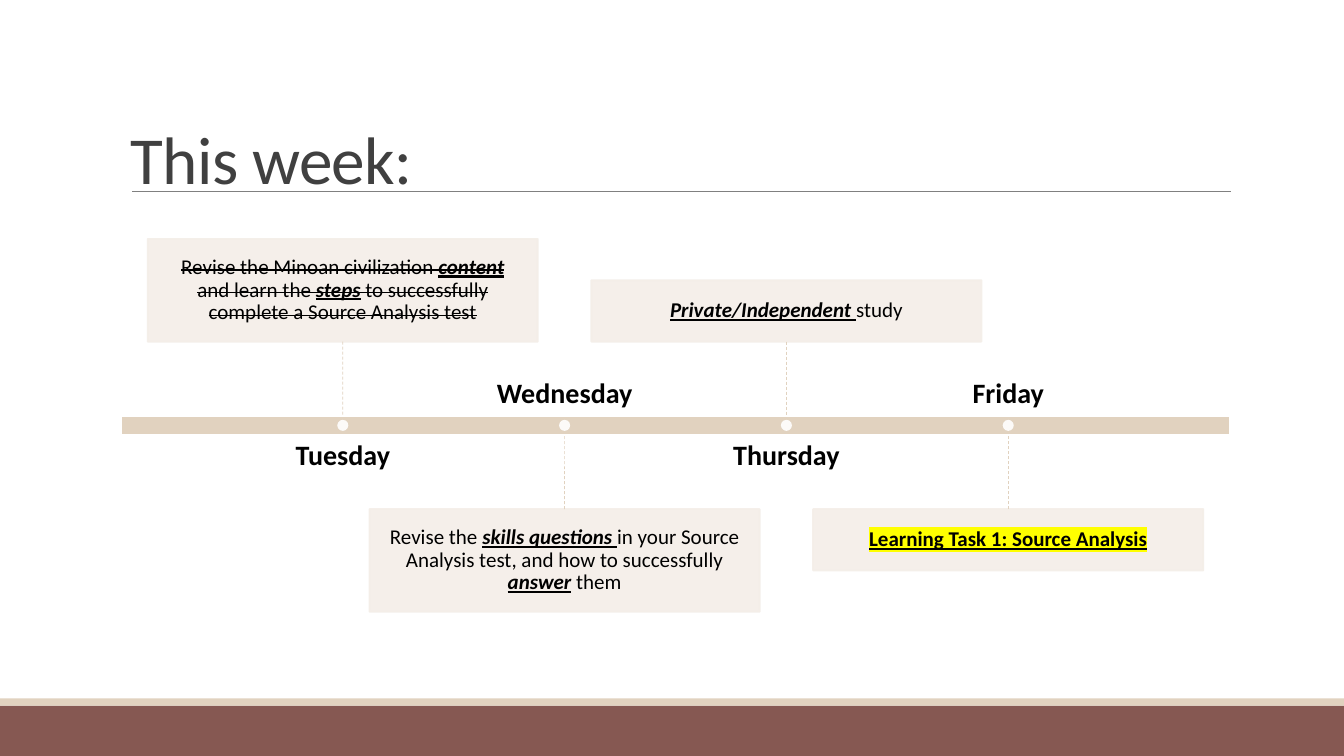
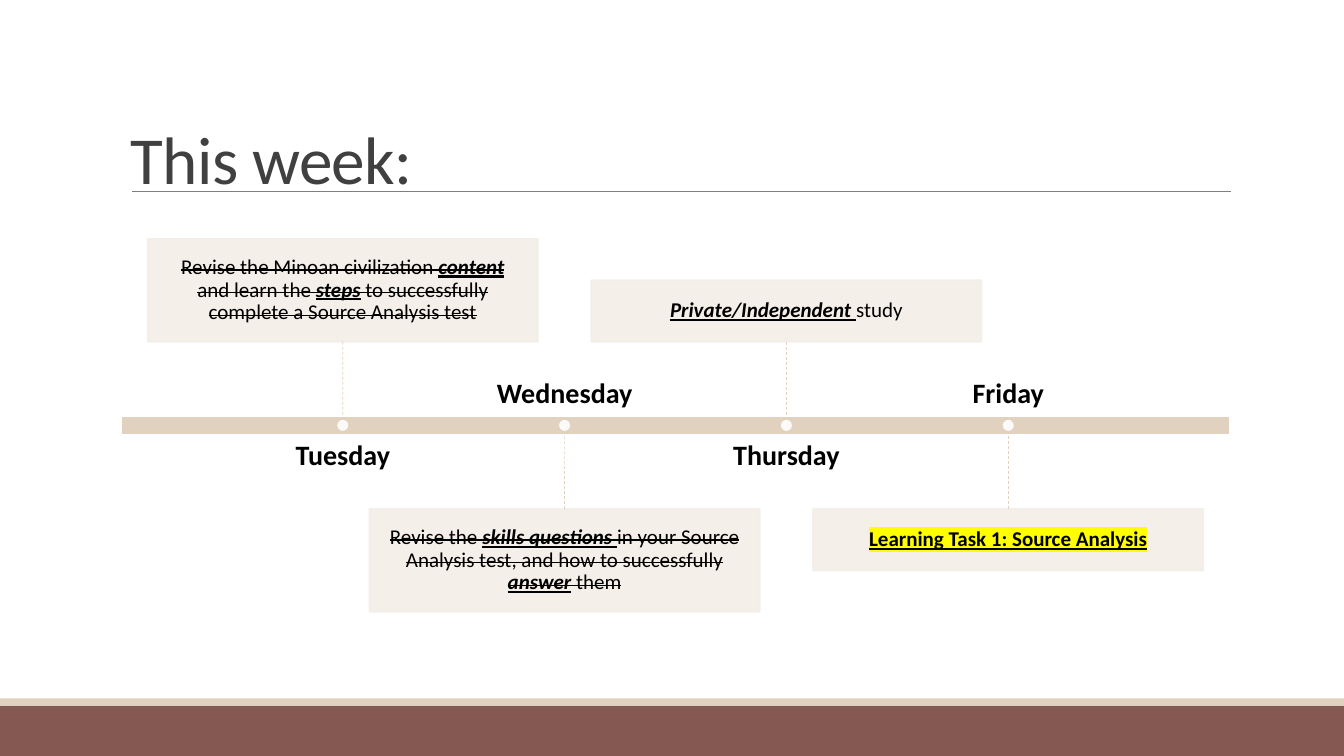
from lxml.etree import SubElement
from pptx import Presentation
from pptx.dml.color import RGBColor
from pptx.enum.dml import MSO_LINE
from pptx.enum.shapes import MSO_CONNECTOR, MSO_SHAPE
from pptx.enum.text import MSO_ANCHOR, PP_ALIGN
from pptx.oxml.ns import qn
from pptx.util import Inches, Pt

FONT = "Calibri"
MAROON, SAND, CREAM = "865852", "E1D2BF", "F4EEE8"
WHITE, BLACK, GREY, CHARCOAL = "FFFFFF", "000000", "808080", "404040"
YELLOW = "FFFF00"

BAR_LEFT, BAR_TOP, BAR_WIDTH, BAR_HEIGHT = 1.2, 4.13, 11, 0.18
BAR_BOTTOM = BAR_TOP + BAR_HEIGHT
FIRST_DAY, DAY_STEP = 3.4, 2.2
CARD_WIDTH, CARD_GAP = 3.87, 0.74
LABEL_WIDTH, LABEL_HEIGHT, LABEL_GAP = 3.52, 0.5, 0.07
DOT = 0.11
TALL, SHORT = 1.02, 0.61

DAYS = [
    ("Tuesday", TALL, [
        ("Revise the Minoan civilization ", ""),
        ("content", "biu"),
        (" and learn the ", ""),
        ("steps", "biu"),
        (" to successfully complete a Source Analysis test", ""),
    ]),
    ("Wednesday", TALL, [
        ("Revise the ", ""),
        ("skills questions ", "biu"),
        ("in your Source Analysis test, and how to successfully ", ""),
        ("answer", "biu"),
        (" them", ""),
    ]),
    ("Thursday", SHORT, [("Private/Independent ", "biu"), ("study", "")]),
    ("Friday", SHORT, [("Learning Task 1: Source Analysis", "buh")]),
]


def color(code):
    return RGBColor.from_string(code)


def set_alpha(element, percent):
    for tint in element.iter(qn("a:srgbClr")):
        SubElement(tint, qn("a:alpha"), val=str(percent * 1000))


class Deck:
    def __init__(self):
        self.deck = Presentation()
        self.deck.slide_width = Inches(13.33)
        self.deck.slide_height = Inches(7.5)
        self.page = None

    def add_page(self, title):
        self.page = self.deck.slides.add_slide(self.deck.slide_layouts[6])
        self.shape(0, 7, 13.33, 0.5, MAROON)
        self.shape(0, 6.93, 13.33, 0.07, SAND)
        self.line(1.31, 1.9, 12.21, 1.9, GREY)
        box = self.text_box(1.2, 0.43, 11, 1.59, MSO_ANCHOR.BOTTOM)
        para = self.add_text(box, [(title, "")], 48, CHARCOAL, PP_ALIGN.LEFT, 0.85)
        para.runs[0]._r.get_or_add_rPr().set("spc", "-50")

    def shape(self, left, top, width, height, fill, border=None,
              kind=MSO_SHAPE.RECTANGLE, alpha=100):
        shape = self.page.shapes.add_shape(
            kind, Inches(left), Inches(top), Inches(width), Inches(height))
        shape.shadow.inherit = False
        shape.fill.solid()
        shape.fill.fore_color.rgb = color(fill)
        if border:
            shape.line.color.rgb = color(border)
            shape.line.width = Pt(1.25)
        else:
            shape.line.fill.background()
        if alpha < 100:
            set_alpha(shape._element.spPr, alpha)
        return shape

    def line(self, x1, y1, x2, y2, tint, dash=None):
        line = self.page.shapes.add_connector(
            MSO_CONNECTOR.STRAIGHT, Inches(x1), Inches(y1), Inches(x2), Inches(y2))
        line.line.color.rgb = color(tint)
        line.line.width = Pt(0.5)
        if dash:
            line.line.dash_style = dash
        SubElement(line._element.spPr, qn("a:effectLst"))
        return line

    def set_frame(self, shape, anchor, inset=None):
        frame = shape.text_frame
        frame.word_wrap = True
        frame.vertical_anchor = anchor
        if inset is not None:
            frame.margin_left = frame.margin_right = Inches(inset)
            frame.margin_top = frame.margin_bottom = Inches(inset)

    def text_box(self, left, top, width, height, anchor, inset=None):
        box = self.page.shapes.add_textbox(
            Inches(left), Inches(top), Inches(width), Inches(height))
        self.set_frame(box, anchor, inset)
        return box

    def add_text(self, shape, spans, size, tint, align=PP_ALIGN.CENTER,
                 spacing=0.9, bold=False, struck=False):
        para = shape.text_frame.paragraphs[0]
        para.alignment = align
        para.line_spacing = spacing
        para.font.name = FONT
        para.font.size = Pt(size)
        para.font.color.rgb = color(tint)
        para.font.bold = bold
        for text, style in spans:
            span = para.add_run()
            span.text = text
            if "b" in style:
                span.font.bold = True
            if "i" in style:
                span.font.italic = True
            if "u" in style:
                span.font.underline = True
            properties = span._r.get_or_add_rPr()
            if struck:
                properties.set("strike", "sngStrike")
            if "h" in style:
                marker = SubElement(properties, qn("a:highlight"))
                SubElement(marker, qn("a:srgbClr"), val=YELLOW)
        return para

    def day(self, center, name, height, spans, above, struck):
        if above:
            card_top = BAR_TOP - CARD_GAP - height
            label_top, anchor = BAR_BOTTOM + LABEL_GAP, MSO_ANCHOR.TOP
            bar_edge, card_side = BAR_TOP, 2
        else:
            card_top = BAR_BOTTOM + CARD_GAP
            label_top = BAR_TOP - LABEL_GAP - LABEL_HEIGHT
            anchor = MSO_ANCHOR.BOTTOM
            bar_edge, card_side = BAR_BOTTOM, 0
        label = self.text_box(center - LABEL_WIDTH / 2, label_top,
                              LABEL_WIDTH, LABEL_HEIGHT, anchor, 0)
        self.add_text(label, [(name, "")], 20, BLACK, bold=True)
        card = self.shape(center - CARD_WIDTH / 2, card_top, CARD_WIDTH, height,
                          CREAM, CREAM, alpha=90)
        self.set_frame(card, MSO_ANCHOR.MIDDLE, 0.16)
        self.add_text(card, spans, 15, BLACK, struck=struck)
        stem = self.line(center, card_top, center, bar_edge, SAND, MSO_LINE.DASH)
        stem.begin_connect(card, card_side)
        self.shape(center - DOT / 2, BAR_TOP + (BAR_HEIGHT - DOT) / 2, DOT, DOT,
                   WHITE, kind=MSO_SHAPE.OVAL, alpha=90)

    def timeline(self, days_done):
        self.shape(BAR_LEFT, BAR_TOP, BAR_WIDTH, BAR_HEIGHT, SAND, WHITE)
        for index, (name, height, spans) in enumerate(DAYS):
            self.day(FIRST_DAY + index * DAY_STEP, name, height, spans,
                     above=index % 2 == 0, struck=index < days_done)


def main():
    week = Deck()
    for days_done in (1, 2):
        week.add_page("This week:")
        week.timeline(days_done)
    week.deck.save("out.pptx")


if __name__ == "__main__":
    main()
